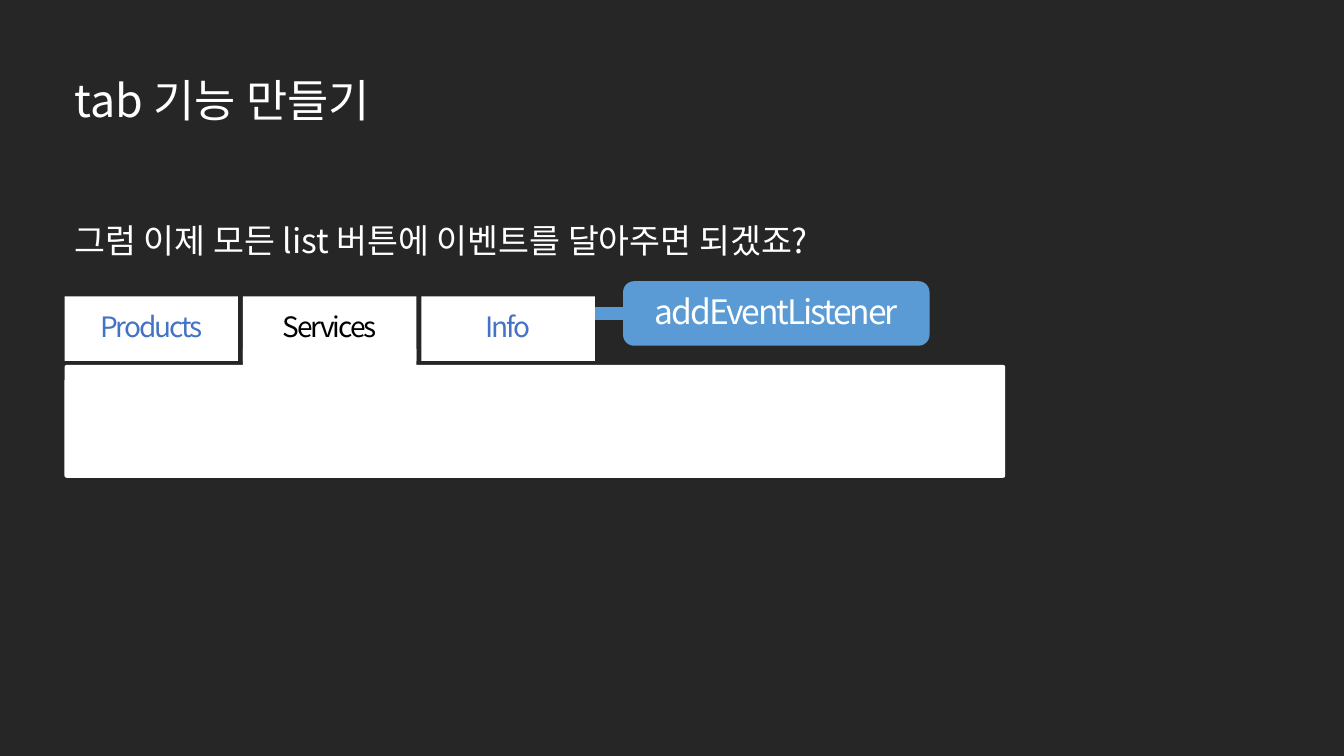
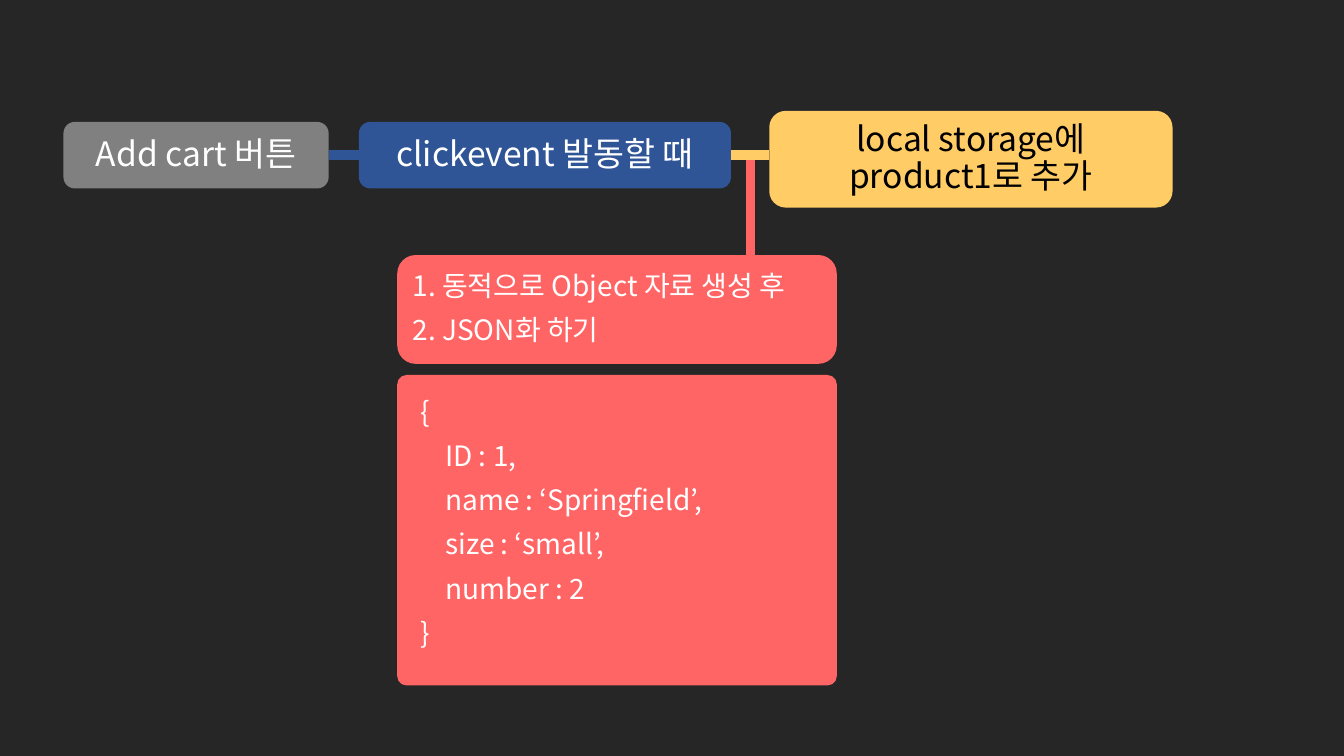
from lxml.etree import SubElement
from pptx import Presentation
from pptx.dml.color import RGBColor
from pptx.enum.shapes import MSO_CONNECTOR, MSO_SHAPE
from pptx.enum.text import MSO_ANCHOR, PP_ALIGN
from pptx.oxml.ns import qn
from pptx.util import Inches, Pt

HUES = {
    "back": "262626", "white": "FFFFFF", "black": "000000", "link": "4472C4",
    "sky": "5B9BD5", "gray": "808080", "navy": "2F5597", "gold": "FFCC66",
    "red": "FF6565",
}
FACE = "Noto Sans CJK KR"


def tint(name):
    return RGBColor.from_string(HUES[name])


class Deck:
    """Holds the shared style and the slide being drawn."""

    def __init__(self):
        self.show = Presentation()
        self.show.slide_width = Inches(13.33)
        self.show.slide_height = Inches(7.5)
        self.slide = None

    def page(self, layout):
        self.slide = self.show.slides.add_slide(self.show.slide_layouts[layout])
        fill = self.slide.background.fill
        fill.solid()
        fill.fore_color.rgb = tint("back")

    def letter(self, shape, lines, size, ink="white", align=PP_ALIGN.CENTER,
               anchor=MSO_ANCHOR.MIDDLE, pitch=0.9, track=0):
        frame = shape.text_frame
        frame.word_wrap = True
        frame.vertical_anchor = anchor
        frame.text = "\n".join(lines)
        for rank, para in enumerate(frame.paragraphs):
            para.alignment = align
            para.line_spacing = pitch
            para.space_before = Pt(10 if rank else 0)
            font = para.font
            font.size = Pt(size)
            font.color.rgb = tint(ink)
            font.name = FACE
            props = para._p.pPr.find(qn("a:defRPr"))
            SubElement(props, qn("a:ea")).set("typeface", FACE)
            if track:
                props.set("spc", str(track))

    def title(self, text, *area):
        shape = self.slide.shapes.title
        shape.left, shape.top, shape.width, shape.height = map(Inches, area)
        self.letter(shape, [text], 32, align=PP_ALIGN.LEFT, pitch=1.5)

    def note(self, text, *area):
        shape = self.slide.shapes.add_textbox(*map(Inches, area))
        self.letter(shape, [text], 24, align=PP_ALIGN.LEFT,
                    anchor=MSO_ANCHOR.TOP, pitch=1.5)

    def box(self, area, hue, lines=(), size=24, curve=0.17, inset=None, **style):
        kind = MSO_SHAPE.ROUNDED_RECTANGLE if curve else MSO_SHAPE.RECTANGLE
        shape = self.slide.shapes.add_shape(kind, *map(Inches, area))
        shape.shadow.inherit = False
        shape.fill.solid()
        shape.fill.fore_color.rgb = tint(hue)
        shape.line.fill.background()
        if curve:
            shape.adjustments[0] = curve
        if inset:
            frame = shape.text_frame
            frame.margin_left = frame.margin_top = Inches(inset)
        if lines:
            self.letter(shape, lines, size, **style)
        return shape

    def link(self, start, end, hue, width, head=None, tail=None):
        line = self.slide.shapes.add_connector(
            MSO_CONNECTOR.STRAIGHT, *map(Inches, start + end))
        line.line.color.rgb = tint(hue)
        line.line.width = Pt(width)
        SubElement(line._element.spPr, qn("a:effectLst"))
        if head:
            line.begin_connect(head, 3)
        if tail:
            line.end_connect(tail, 1)


def tabs(deck):
    deck.page(5)
    deck.title("tab 기능 만들기", 0.64, 0.36, 8.72, 0.99)
    deck.note("그럼 이제 모든 list 버튼에 이벤트를 달아주면 되겠죠?", 0.64, 1.93, 10, 0.92)
    left, step, wide = 0.64, 1.77, 1.72
    for rank, name in enumerate(("Products", "Services", "Info")):
        ink = "black" if name == "Services" else "link"
        deck.box((left + rank * step, 2.94, wide, 0.64), "white", [name], 20,
                 curve=0, ink=ink, track=-150)
    deck.box((left, 3.62, 9.33, 1.12), "white", curve=0.02)
    deck.box((left + step, 3.46, wide, 0.38), "white", curve=0)
    call = deck.box((6.18, 2.79, 3.04, 0.64), "sky", ["addEventListener"], track=-150)
    deck.link((5.9, 3.11), (6.18, 3.11), "sky", 9, tail=call)


def cart(deck):
    deck.page(6)
    deck.box((3.94, 3.72, 4.36, 3.08), "red", [
        "{",
        "    ID : 1,",
        "    name : ‘Springfield’,",
        "    size : ‘small’,",
        "    number : 2",
        "}",
    ], 20, curve=0.03, inset=0.2, align=PP_ALIGN.LEFT, anchor=MSO_ANCHOR.TOP)
    add = deck.box((0.63, 1.21, 2.63, 0.66), "gray", ["Add cart 버튼"])
    click = deck.box((3.56, 1.21, 3.69, 0.66), "navy", ["clickevent 발동할 때"])
    deck.link((3.26, 1.54), (3.56, 1.54), "navy", 7, add, click)
    deck.box((7.63, 1.1, 4, 0.96), "gold", ["local storage에 product1로 추가"], ink="black")
    deck.link((7.25, 1.54), (7.63, 1.54), "gold", 7, click)
    deck.link((7.44, 1.59), (7.44, 2.55), "red", 6.5)
    deck.box((3.94, 2.53, 4.36, 1.08), "red",
             ["1. 동적으로 Object 자료 생성 후", "2. JSON화 하기"], 20,
             align=PP_ALIGN.LEFT)


def main():
    deck = Deck()
    tabs(deck)
    cart(deck)
    deck.show.save("out.pptx")


if __name__ == "__main__":
    main()
